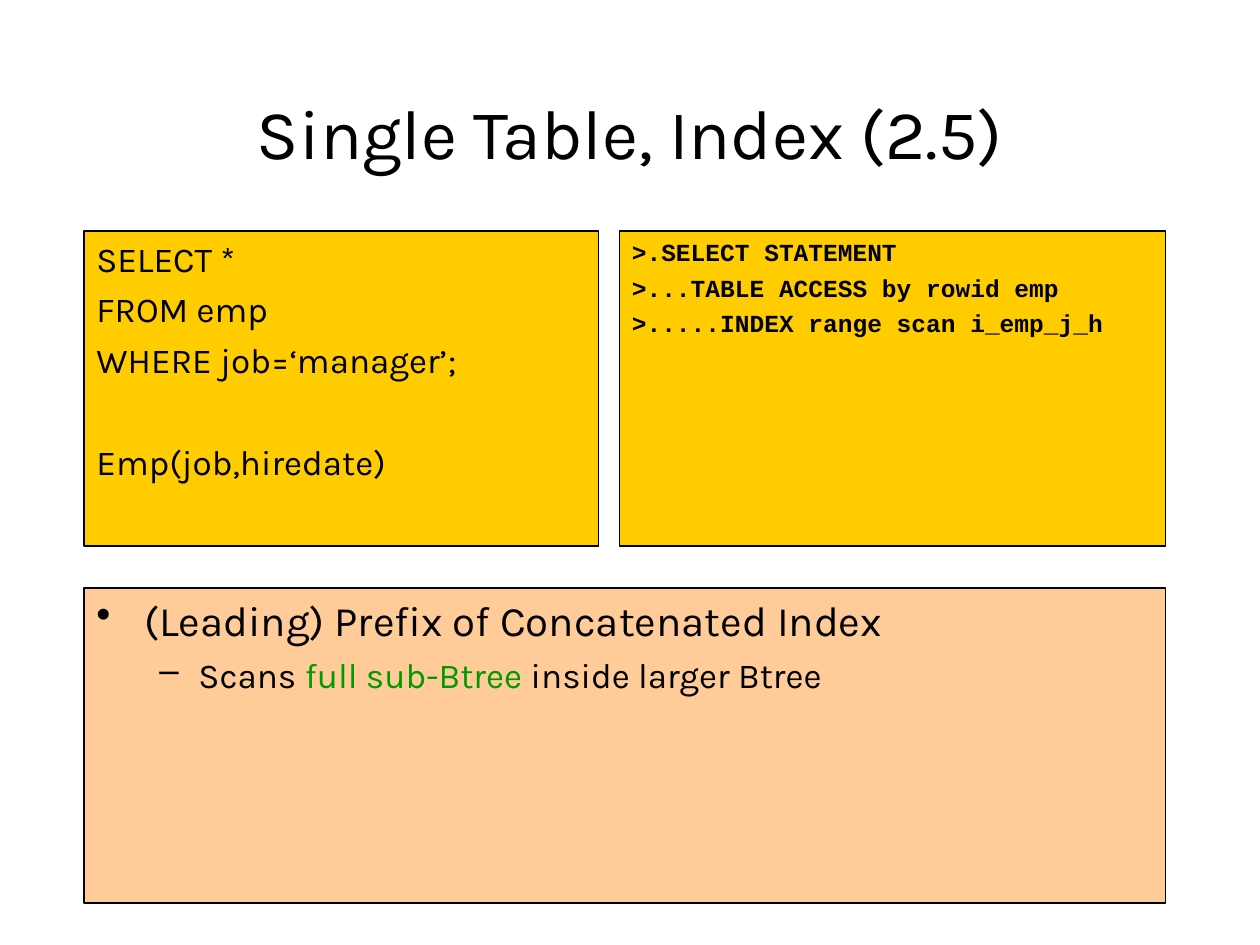
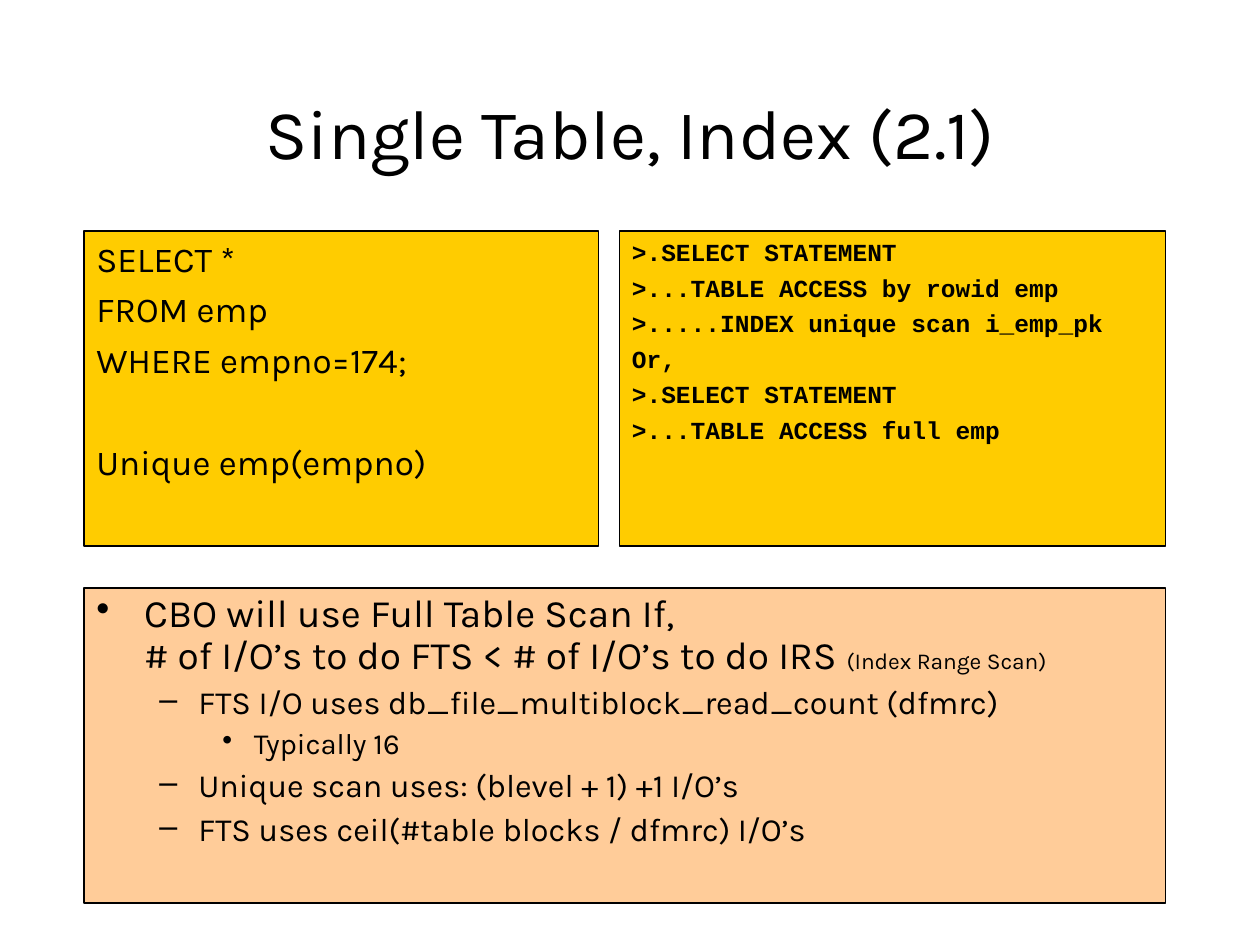
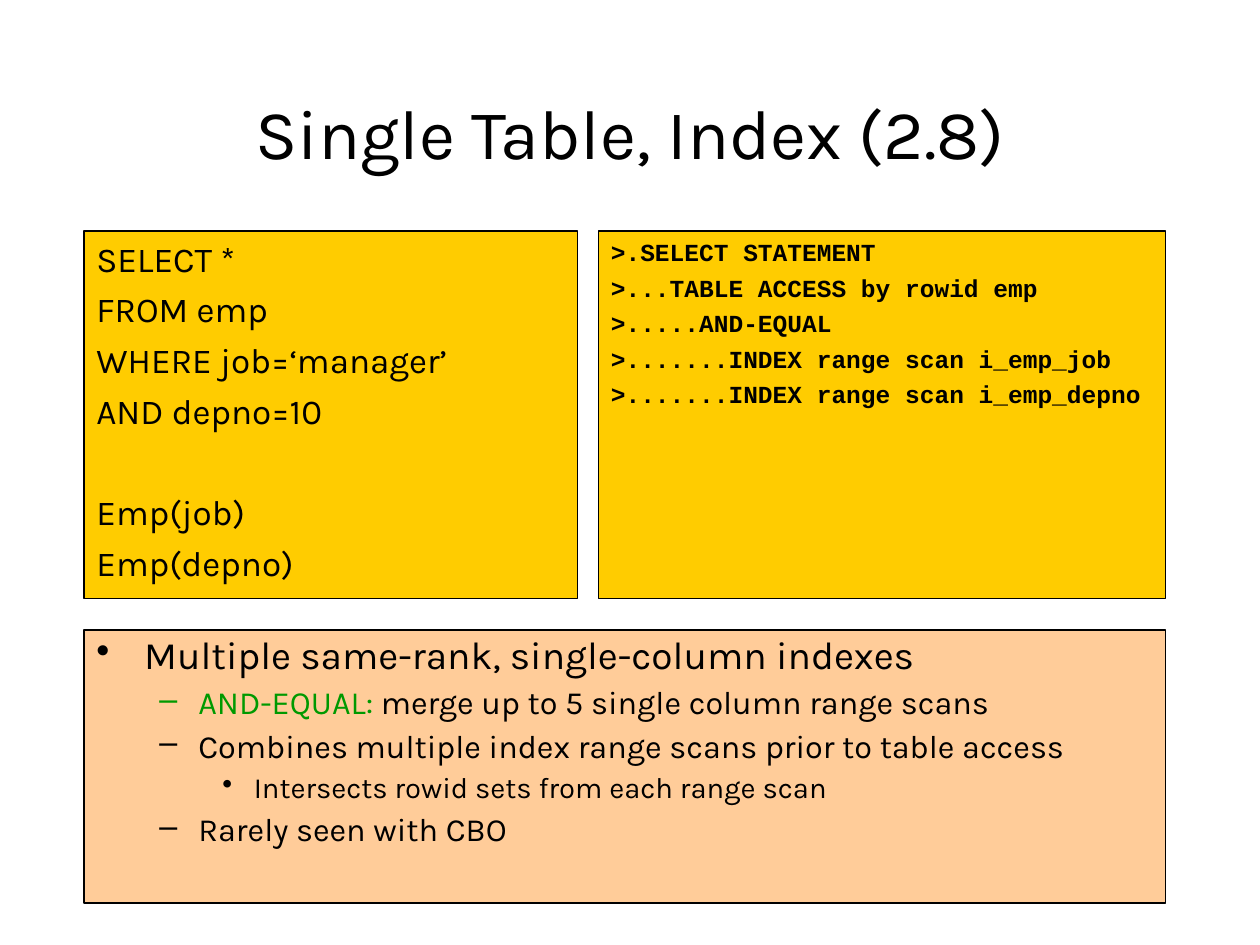
from lxml.etree import SubElement
from pptx import Presentation
from pptx.dml.color import RGBColor
from pptx.enum.shapes import MSO_SHAPE
from pptx.enum.text import MSO_ANCHOR, PP_ALIGN
from pptx.oxml.ns import qn
from pptx.util import Inches, Pt

COLORS = {"ink": "000000", "accent": "009900", "code": "FFCC00", "notes": "FFCC99"}
BODY_FONT, PLAN_FONT = "Karla", "Courier New"
CELL = Inches(1) / 12
LEFT, RIGHT, TOP, BOTTOM, GUTTER = 8, 111, 22, 86, 2
TITLE_AREA = (9, 8, 102, 9)
HANGING = (0.38, 0.38)
# Indent, hanging part, bullet, text size, space before
LEVELS = [
    (0.38, 0.38, "•", 24, 0),
    (0.81, 0.31, "–", 20, 5),
    (1.25, 0.25, "•", 18, 4.5),
]
SMALL_SIZE, QUERY_SIZE, PLAN_SIZE, TITLE_SIZE = 14, 20, 14, 40
QUERY_SPACE, PLAN_SPACE, INDEX_SPACE = 5, 3.5, 34

SLIDES = [
    {
        "title": "Single Table, Index (2.5)",
        "query_columns": 49, "code_rows": 30, "notes_top": 56,
        "font_scale": 1, "line_spacing": 1,
        "query": ["SELECT *", "FROM emp", "WHERE job=‘manager’;"],
        "indexes": ["Emp(job,hiredate)"],
        "plan": [
            ">.SELECT STATEMENT",
            ">...TABLE ACCESS by rowid emp",
            ">.....INDEX range scan i_emp_j_h",
        ],
        "notes": [
            (0, [("(Leading) Prefix of Concatenated Index", "ink")]),
            (1, [("Scans ", "ink"), ("full sub-Btree", "accent"),
                 (" inside larger Btree", "ink")]),
        ],
    },
    {
        "title": "Single Table, Index (2.1)",
        "query_columns": 49, "code_rows": 30, "notes_top": 56,
        "font_scale": 0.925, "line_spacing": 0.9,
        "query": ["SELECT *", "FROM emp", "WHERE empno=174;"],
        "indexes": ["Unique emp(empno)"],
        "plan": [
            ">.SELECT STATEMENT",
            ">...TABLE ACCESS by rowid emp",
            ">.....INDEX unique scan i_emp_pk",
            "Or,",
            ">.SELECT STATEMENT",
            ">...TABLE ACCESS full emp",
        ],
        "notes": [
            (0, [("CBO will use Full Table Scan If,\n"
                  "# of I/O’s to do FTS < # of I/O’s to do IRS ", "ink"),
                 ("(Index Range Scan)", "ink", SMALL_SIZE)]),
            (1, [("FTS I/O uses db_file_multiblock_read_count (dfmrc)", "ink")]),
            (2, [("Typically 16", "ink")]),
            (1, [("Unique scan uses: (blevel + 1) +1 I/O’s", "ink")]),
            (1, [("FTS uses ceil(#table blocks / dfmrc) I/O’s", "ink")]),
        ],
    },
    {
        "title": "Single Table, Index (2.8)",
        "query_columns": 47, "code_rows": 35, "notes_top": 60,
        "font_scale": 0.925, "line_spacing": 0.9,
        "query": ["SELECT *", "FROM emp", "WHERE job=‘manager’", "AND depno=10"],
        "indexes": ["Emp(job)", "Emp(depno)"],
        "plan": [
            ">.SELECT STATEMENT",
            ">...TABLE ACCESS by rowid emp",
            ">.....AND-EQUAL",
            ">.......INDEX range scan i_emp_job",
            ">.......INDEX range scan i_emp_depno",
        ],
        "notes": [
            (0, [("Multiple same-rank, single-column indexes", "ink")]),
            (1, [("AND-EQUAL:", "accent"),
                 (" merge up to 5 single column range scans", "ink")]),
            (1, [("Combines multiple index range scans prior to table access", "ink")]),
            (2, [("Intersects rowid sets from each range scan", "ink")]),
            (1, [("Rarely seen with CBO", "ink")]),
        ],
    },
]


def place(area):
    return [round(cells * CELL) for cells in area]


def color(name):
    return RGBColor.from_string(COLORS[name])


def add_panel(page, area, fill):
    panel = page.shapes.add_shape(MSO_SHAPE.RECTANGLE, *place(area))
    panel.shadow.inherit = False
    panel.fill.solid()
    panel.fill.fore_color.rgb = color(fill)
    panel.line.color.rgb = color("ink")
    panel.line.width = Pt(0.75)
    panel.text_frame.word_wrap = True
    panel.text_frame.vertical_anchor = MSO_ANCHOR.TOP
    return panel.text_frame


def add_para(frame, space=0, align=PP_ALIGN.LEFT):
    first = frame.paragraphs[0]
    fresh = not first.runs
    para = first if fresh else frame.add_paragraph()
    para.alignment = align
    para.space_before = Pt(0 if fresh else space)
    return para


def indent(para, margin, hanging):
    properties = para._p.get_or_add_pPr()
    properties.set("marL", str(Inches(margin)))
    properties.set("indent", str(-Inches(hanging)))
    return properties


def add_span(para, text, size, font=BODY_FONT, tint="ink", bold=False):
    for number, line in enumerate(text.split("\n")):
        if number:
            para.add_line_break()
        span = para.add_run()
        span.text = line
        span.font.size = Pt(size)
        span.font.name = font
        span.font.bold = bold
        span.font.color.rgb = color(tint)


def add_title(page, text):
    frame = page.shapes.add_textbox(*place(TITLE_AREA)).text_frame
    frame.word_wrap = True
    frame.vertical_anchor = MSO_ANCHOR.MIDDLE
    add_span(add_para(frame, align=PP_ALIGN.CENTER), text, TITLE_SIZE)


def add_notes(page, area, content):
    frame = add_panel(page, area, "notes")
    for level, spans in content["notes"]:
        margin, hanging, bullet, level_size, space = LEVELS[level]
        para = add_para(frame, space)
        para.level = level
        para.line_spacing = content["line_spacing"]
        properties = indent(para, margin, hanging)
        bullet_color = SubElement(properties, qn("a:buClr"))
        SubElement(bullet_color, qn("a:srgbClr"), val=COLORS[spans[0][1]])
        SubElement(properties, qn("a:buChar"), char=bullet)
        for text, tint, *custom in spans:
            size = custom[0] if custom else level_size
            add_span(para, text, round(size * content["font_scale"], 1), tint=tint)


def add_plan(page, area, lines):
    frame = add_panel(page, area, "code")
    for line in lines:
        para = add_para(frame, PLAN_SPACE)
        indent(para, *HANGING)
        add_span(para, line, PLAN_SIZE, PLAN_FONT, bold=True)


def add_query(page, area, query, indexes):
    frame = add_panel(page, area, "code")
    for number, line in enumerate(query + indexes):
        para = add_para(frame, INDEX_SPACE if number == len(query) else QUERY_SPACE)
        indent(para, *HANGING)
        add_span(para, line, QUERY_SIZE)


def add_page(deck, content):
    page = deck.slides.add_slide(deck.slide_layouts[6])
    columns, rows, notes_top = (
        content[key] for key in ("query_columns", "code_rows", "notes_top"))
    plan_left = LEFT + columns + GUTTER
    add_title(page, content["title"])
    add_notes(page, (LEFT, notes_top, RIGHT - LEFT, BOTTOM - notes_top), content)
    add_plan(page, (plan_left, TOP, RIGHT - plan_left, rows), content["plan"])
    add_query(page, (LEFT, TOP, columns, rows), content["query"], content["indexes"])


def main():
    """Build the index access slides."""
    deck = Presentation()
    deck.slide_width, deck.slide_height = Inches(10), Inches(7.5)
    for content in SLIDES:
        add_page(deck, content)
    deck.save("out.pptx")


if __name__ == "__main__":
    main()
